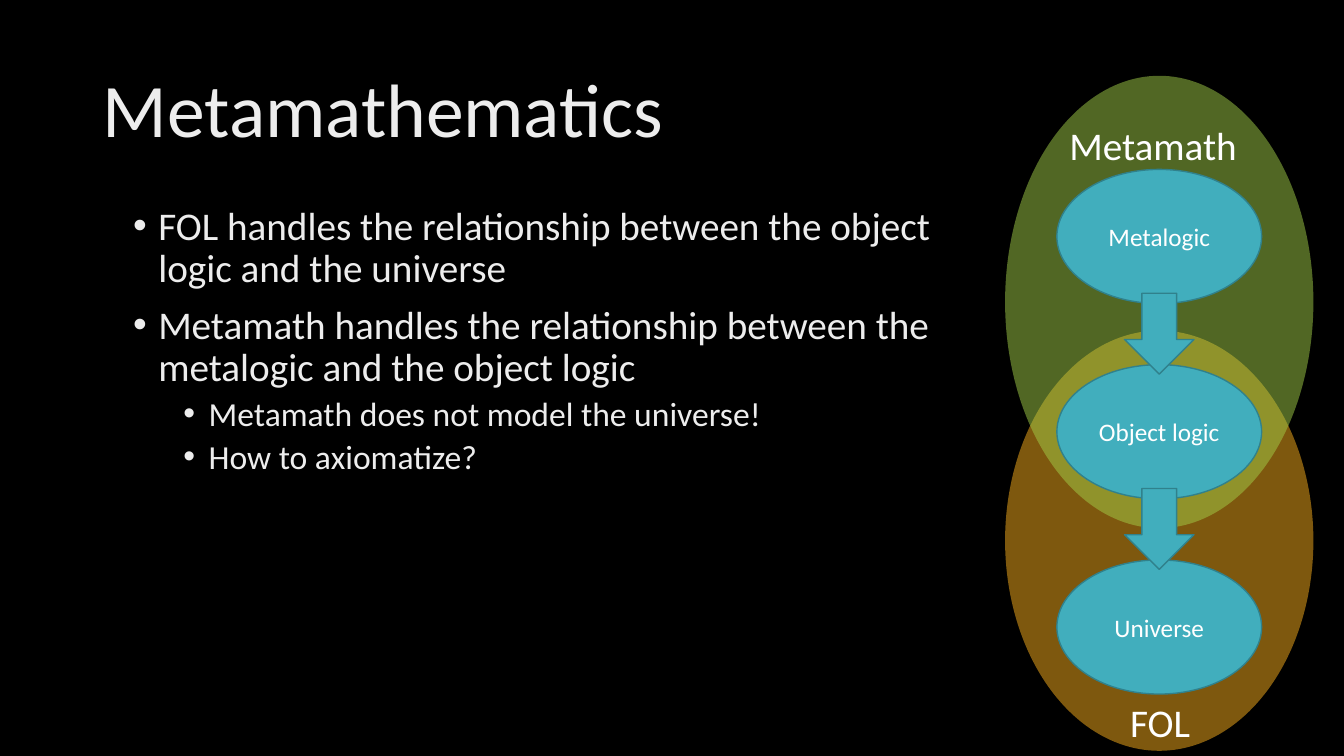
from lxml.etree import SubElement
from pptx import Presentation
from pptx.dml.color import RGBColor
from pptx.enum.shapes import MSO_SHAPE
from pptx.enum.text import MSO_ANCHOR, MSO_AUTO_SIZE, PP_ALIGN
from pptx.oxml.ns import qn
from pptx.util import Cm, Pt

COLORS = {
    "background": "000000", "text": "EDEDED", "label": "FFFFFF",
    "node": "41AEBD", "edge": "30818C", "fol": "FCB11C", "metamath": "A2CF49",
}
BULLETS = [
    ("FOL handles the relationship between the object logic and the universe", 0),
    ("Metamath handles the relationship between the metalogic and the object logic", 0),
    ("Metamath does not model the universe!", 1),
    ("How to axiomatize?", 1),
]
LEVELS = [
    {"size": 28, "space": 10, "margin": 0.25},
    {"size": 24, "space": 5, "margin": 0.75},
]
NODES = ["Metalogic", "Object logic", "Universe"]


def rgb(name):
    """Look up a named colour."""
    return RGBColor.from_string(COLORS[name])


def apply(obj, formats):
    """Set each attribute in the formats on the object."""
    for name, value in formats.items():
        setattr(obj, name, value)


def place(sp, box):
    """Move a shape to a box given in centimetres."""
    apply(sp, dict(zip(("left", "top", "width", "height"), map(Cm, box))))


def add_text(p, text, size, color):
    """Add one formatted run to a paragraph."""
    r = p.add_run()
    r.text = text
    apply(r.font, {"name": "Calibri", "size": Pt(size), "bold": False})
    r.font.color.rgb = rgb(color)


def add_preset(s, kind, box, color, edge=None, alpha=None):
    """Draw a filled preset shape with optional outline and opacity."""
    sp = s.shapes.add_shape(kind, *map(Cm, box))
    sp.shadow.inherit = False
    sp.fill.solid()
    sp.fill.fore_color.rgb = rgb(color)
    if edge:
        sp.line.color.rgb = rgb(edge)
        sp.line.width = Pt(1)
    else:
        sp.line.fill.background()
    if alpha:
        clr = sp.fill._xPr.find(".//" + qn("a:srgbClr"))
        SubElement(clr, qn("a:alpha"), val=str(alpha * 1000))
    return sp


def add_label(s, text, box):
    """Write a zone name in a text box."""
    tf = s.shapes.add_textbox(*map(Cm, box)).text_frame
    tf.word_wrap = True
    add_text(tf.paragraphs[0], text, 28, "label")


def add_title(s, box):
    """Fill the title placeholder."""
    sp = s.shapes.title
    place(sp, box)
    tf = sp.text_frame
    apply(tf, {"vertical_anchor": MSO_ANCHOR.MIDDLE, "auto_size": MSO_AUTO_SIZE.NONE})
    p = tf.paragraphs[0]
    apply(p, {"alignment": PP_ALIGN.LEFT, "line_spacing": 0.9})
    add_text(p, "Metamathematics", 54, "text")


def add_bullets(s, box):
    """Fill the body placeholder with a two-level list."""
    sp = s.placeholders[1]
    place(sp, box)
    tf = sp.text_frame
    tf.auto_size = MSO_AUTO_SIZE.NONE
    for i, (text, level) in enumerate(BULLETS):
        p = tf.add_paragraph() if i else tf.paragraphs[0]
        style = LEVELS[level]
        apply(p, {"level": level, "line_spacing": 0.9, "space_before": Pt(style["space"])})
        pPr = p._p.get_or_add_pPr()
        pPr.set("marL", str(Cm(style["margin"] * 2.54)))
        pPr.set("indent", str(-Cm(0.25 * 2.54)))
        SubElement(pPr, qn("a:buFont"), typeface="Arial")
        SubElement(pPr, qn("a:buChar"), char="•")
        add_text(p, text, style["size"], "text")


def add_diagram(s, box):
    """Draw the two overlapping zones and the chain of nodes."""
    x, y, w, h = box
    node_w, node_h, pitch = 5.16, 3.38, 4.92
    arrow_w, arrow_h = 1.75, 2.04
    node_x, node_y = x + (w - node_w) / 2, y + 2.36
    arrow_x, arrow_y = x + (w - arrow_w) / 2, node_y + 3.12
    fol_h, metamath_h = 10.59, 11.4
    add_preset(s, MSO_SHAPE.OVAL, (x, y + h - fol_h, w, fol_h), "fol", alpha=50)
    add_preset(s, MSO_SHAPE.OVAL, (x, y, w, metamath_h), "metamath", alpha=50)
    for i, name in enumerate(NODES):
        node = (node_x, node_y + i * pitch, node_w, node_h)
        sp = add_preset(s, MSO_SHAPE.OVAL, node, "node", "edge")
        tf = sp.text_frame
        tf.vertical_anchor = MSO_ANCHOR.MIDDLE
        p = tf.paragraphs[0]
        p.alignment = PP_ALIGN.CENTER
        add_text(p, name, 18, "label")
    for i in range(len(NODES) - 1):
        arrow = (arrow_x, arrow_y + i * pitch, arrow_w, arrow_h)
        add_preset(s, MSO_SHAPE.DOWN_ARROW, arrow, "node", "edge")
    add_label(s, "FOL", (x + 2.9, y + 15.55, 2.82, 1.45))
    add_label(s, "Metamath", (x + 1.37, y + 1.02, 5.11, 1.45))


def main():
    """Build and save the slide."""
    prs = Presentation()
    apply(prs, {"slide_width": Cm(33.87), "slide_height": Cm(19.05)})
    s = prs.slides.add_slide(prs.slide_layouts[1])
    s.background.fill.solid()
    s.background.fill.fore_color.rgb = rgb("background")
    add_title(s, (2.34, 1.02, 29.21, 3.68))
    add_bullets(s, (3.1, 5.08, 22.56, 12.09))
    add_diagram(s, (25.33, 1.91, 7.77, 17.01))
    prs.save("out.pptx")


if __name__ == "__main__":
    main()
